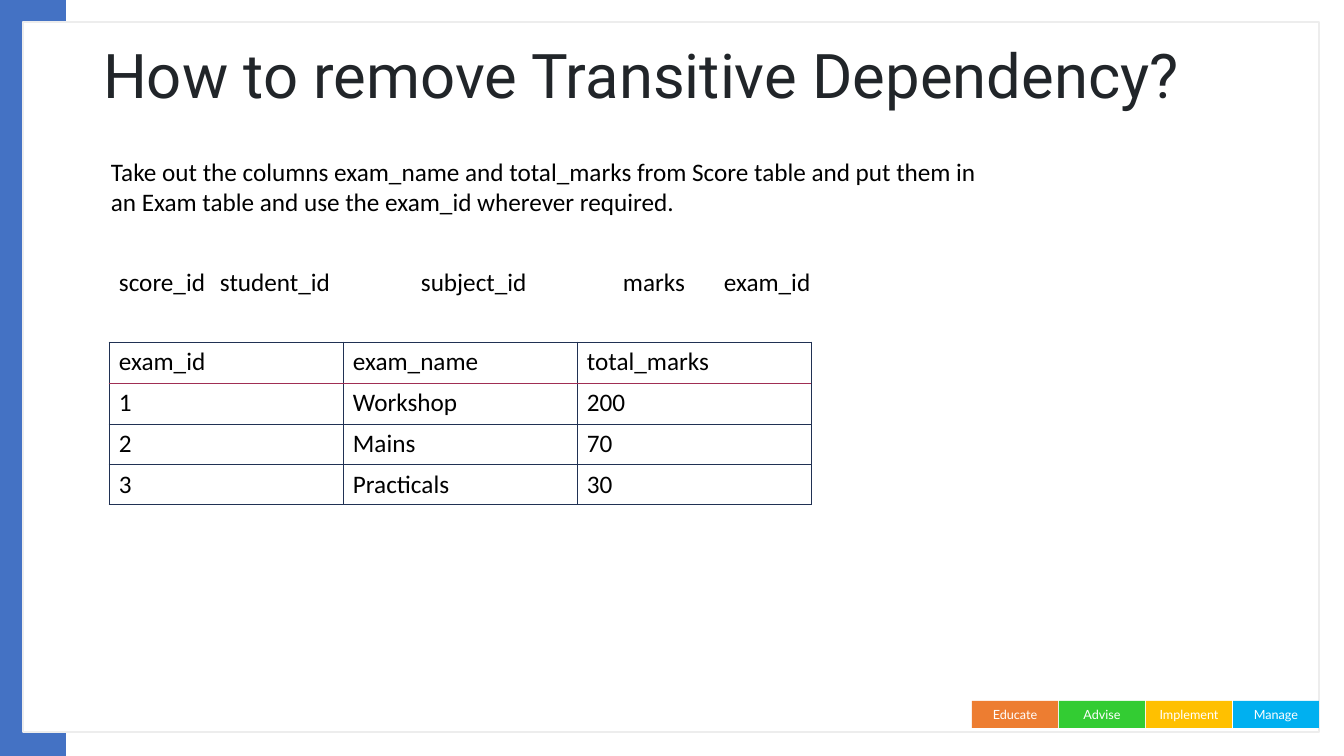
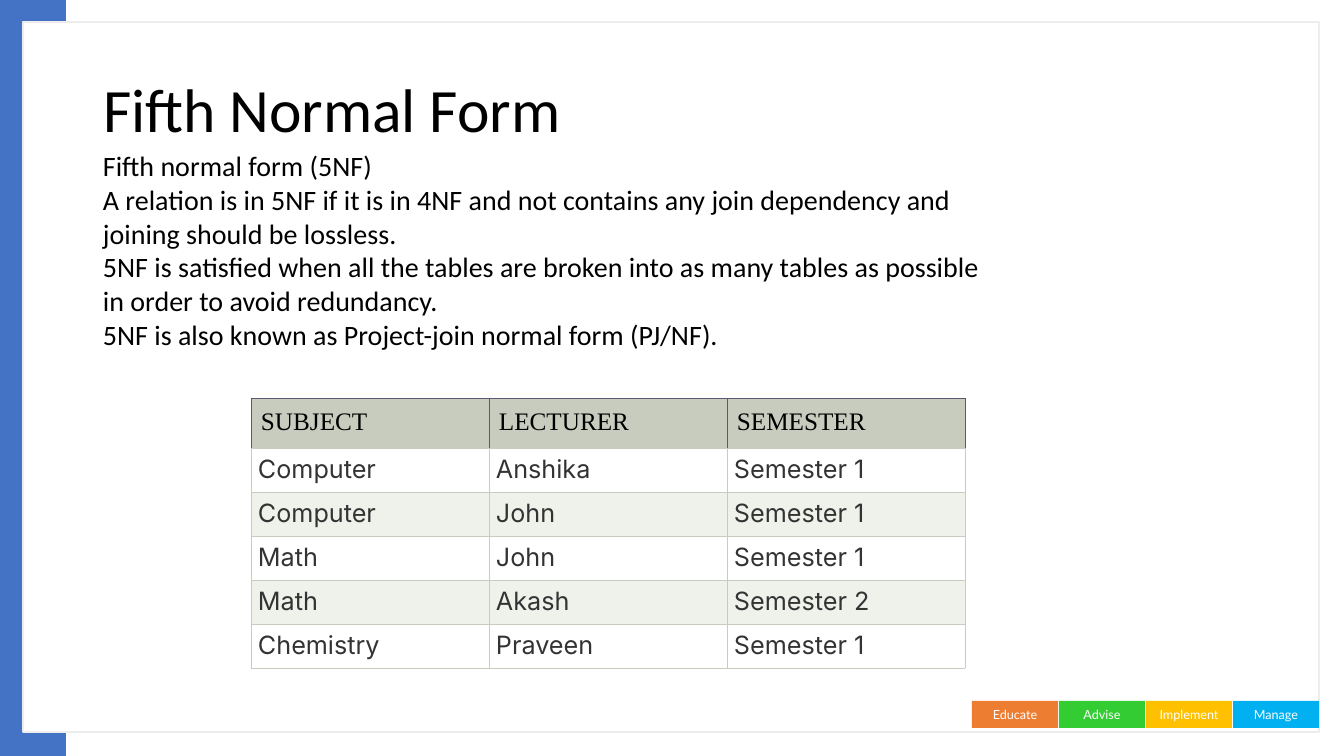
from dataclasses import dataclass

from lxml.etree import SubElement
from pptx import Presentation
from pptx.dml.color import RGBColor
from pptx.enum.shapes import MSO_SHAPE
from pptx.enum.text import MSO_ANCHOR, MSO_AUTO_SIZE, PP_ALIGN
from pptx.oxml.ns import qn
from pptx.util import Pt

EMU_PER_PX = 914400 / 100.8
SLIDE_WIDTH, SLIDE_HEIGHT = 1344, 756

BLACK, WHITE, BLUE = "000000", "FFFFFF", "4472C4"
CHARCOAL, PANEL_EDGE = "212529", "EDEDED"
SAGE, PALE_SAGE, GREY_TEXT, VIOLET = "C7CCBE", "EFF1EB", "333333", "605575"
GRID, HEADER_RULE = "203153", "A02E53"

BODY_FONT = "Calibri"
TAGS = [("Educate", "ED7D31"), ("Advise", "33CC33"),
        ("Implement", "FFC000"), ("Manage", "00B0F0")]


@dataclass
class RowStyle:
    """Look of one table row; margins are horizontal and vertical px."""
    fill: str
    side: str
    top: str
    bottom: str
    font: str = BODY_FONT
    color: str = BLACK
    margins: tuple = (10, 5)
    align: PP_ALIGN = PP_ALIGN.LEFT


def px(length):
    return round(length * EMU_PER_PX)


def rgb(color):
    return RGBColor.from_string(color)


def add_run(paragraph, text, size, font=BODY_FONT, color=BLACK):
    run = paragraph.add_run()
    run.text = text
    run.font.size = Pt(size)
    run.font.name = font
    run.font.color.rgb = rgb(color)


def add_rectangle(slide, box, fill, edge=None):
    rectangle = slide.shapes.add_shape(MSO_SHAPE.RECTANGLE, *map(px, box))
    rectangle.shadow.inherit = False
    rectangle.fill.solid()
    rectangle.fill.fore_color.rgb = rgb(fill)
    if edge:
        rectangle.line.color.rgb = rgb(edge)
        rectangle.line.width = Pt(1)
    else:
        rectangle.line.fill.background()
    return rectangle


def add_tag(slide, position, label, fill):
    tag = add_rectangle(slide, (972 + 87 * position, 701, 86, 27), fill)
    tag.text_frame.vertical_anchor = MSO_ANCHOR.MIDDLE
    paragraph = tag.text_frame.paragraphs[0]
    paragraph.alignment = PP_ALIGN.CENTER
    add_run(paragraph, label, 9, "Lato", WHITE)
    return tag


def prepare_layout(layout):
    """Keep only the title placeholder of the layout and set its place."""
    for placeholder in list(layout.placeholders):
        if placeholder.placeholder_format.idx != 0:
            layout.shapes.element.remove(placeholder.element)
    title = layout.placeholders[0]
    title.left, title.top, title.width, title.height = map(
        px, (93, 40, 1159, 146))


def move_frame_to_layout(slide):
    """Draw the band, panel and footer tags, then hand them to the layout."""
    frame = [add_rectangle(slide, (0, 0, 66, SLIDE_HEIGHT), BLUE),
             add_rectangle(slide, (23, 22, 1296, 710), WHITE, PANEL_EDGE)]
    frame += [add_tag(slide, position, label, fill)
              for position, (label, fill) in enumerate(TAGS)]
    layout_title = slide.slide_layout.placeholders[0]
    for part in frame:
        layout_title.element.addprevious(part.element)


def set_title(slide, text, font=BODY_FONT, color=BLACK,
              anchor=MSO_ANCHOR.MIDDLE):
    frame = slide.shapes.title.text_frame
    frame.auto_size = MSO_AUTO_SIZE.NONE
    frame.vertical_anchor = anchor
    paragraph = frame.paragraphs[0]
    paragraph.alignment = PP_ALIGN.LEFT
    paragraph.line_spacing = 0.9
    add_run(paragraph, text, 44, font, color)


def add_text(slide, box, lines, size):
    frame = slide.shapes.add_textbox(*map(px, box)).text_frame
    frame.word_wrap = True
    frame.auto_size = MSO_AUTO_SIZE.SHAPE_TO_FIT_TEXT
    for number, line in enumerate(lines):
        paragraph = frame.add_paragraph() if number else frame.paragraphs[0]
        add_run(paragraph, line, size)
    return frame


def set_tab_stops(paragraph, stops):
    properties = paragraph._p.get_or_add_pPr()
    tab_list = SubElement(properties, qn("a:tabLst"))
    for stop in stops:
        SubElement(tab_list, qn("a:tab"), pos=str(px(stop)), algn="l")


def set_borders(cell, style):
    properties = cell._tc.get_or_add_tcPr()
    for edge, color in (("L", style.side), ("R", style.side),
                        ("T", style.top), ("B", style.bottom)):
        line = SubElement(properties, qn(f"a:ln{edge}"), w=str(Pt(0.6)))
        fill = SubElement(line, qn("a:solidFill"))
        SubElement(fill, qn("a:srgbClr"), val=color)


def fill_cell(cell, text, style):
    set_borders(cell, style)
    cell.fill.solid()
    cell.fill.fore_color.rgb = rgb(style.fill)
    across, down = map(px, style.margins)
    cell.margin_left = cell.margin_right = across
    cell.margin_top = cell.margin_bottom = down
    paragraph = cell.text_frame.paragraphs[0]
    paragraph.alignment = style.align
    add_run(paragraph, text, 18, style.font, style.color)


def add_grid(slide, left, top, column_width, row_heights, rows, styles):
    columns = len(rows[0])
    table = slide.shapes.add_table(
        len(rows), columns, px(left), px(top),
        px(column_width * columns), px(sum(row_heights))).table
    table.first_row = table.horz_banding = False
    for column in table.columns:
        column.width = px(column_width)
    for row, height, texts, style in zip(table.rows, row_heights, rows, styles):
        row.height = px(height)
        for cell, text in zip(row.cells, texts):
            fill_cell(cell, text, style)


def build_transitive_dependency(slide):
    set_title(slide, "How to remove Transitive Dependency?", "Roboto",
              CHARCOAL, MSO_ANCHOR.TOP)
    add_text(slide, (101, 151, 915, 72), [
        "Take out the columns exam_name and total_marks from Score table and "
        "put them in an Exam table and use the exam_id wherever required."], 18)
    score_columns = add_text(slide, (109, 261, 835, 40), [
        "score_id\tstudent_id\tsubject_id\tmarks\texam_id"], 18)
    set_tab_stops(score_columns.paragraphs[0], (101, 302, 504, 605))

    exams = [("exam_id", "exam_name", "total_marks"),
             ("1", "Workshop", "200"),
             ("2", "Mains", "70"),
             ("3", "Practicals", "30")]
    header = RowStyle(WHITE, GRID, GRID, HEADER_RULE)
    first = RowStyle(WHITE, GRID, HEADER_RULE, GRID)
    other = RowStyle(WHITE, GRID, GRID, GRID)
    add_grid(slide, 109, 342, 234, (41, 41, 40, 40), exams,
             (header, first, other, other))


def build_fifth_normal_form(slide):
    set_title(slide, "Fifth Normal Form")
    add_text(slide, (93, 144, 915, 214), [
        "Fifth normal form (5NF)",
        "A relation is in 5NF if it is in 4NF and not contains any join "
        "dependency and joining should be lossless.",
        "5NF is satisfied when all the tables are broken into as many tables "
        "as possible in order to avoid redundancy.",
        "5NF is also known as Project-join normal form (PJ/NF)."], 20)

    lectures = [("SUBJECT", "LECTURER", "SEMESTER"),
                ("Computer", "Anshika", "Semester 1"),
                ("Computer", "John", "Semester 1"),
                ("Math", "John", "Semester 1"),
                ("Math", "Akash", "Semester 2"),
                ("Chemistry", "Praveen", "Semester 1")]
    header = RowStyle(SAGE, VIOLET, VIOLET, SAGE, "Times New Roman",
                      margins=(10, 10))
    plain, shaded = (
        RowStyle(fill, SAGE, SAGE, SAGE, "Inter", GREY_TEXT, (7, 6),
                 PP_ALIGN.JUSTIFY)
        for fill in (WHITE, PALE_SAGE))
    add_grid(slide, 251, 398, 238, (50, 44, 44, 44, 44, 44), lectures,
             (header, plain, shaded, plain, shaded, plain))


def main():
    presentation = Presentation()
    presentation.slide_width = px(SLIDE_WIDTH)
    presentation.slide_height = px(SLIDE_HEIGHT)
    layout = presentation.slide_layouts.get_by_name("Title Only")
    prepare_layout(layout)
    dependency_slide = presentation.slides.add_slide(layout)
    move_frame_to_layout(dependency_slide)
    build_transitive_dependency(dependency_slide)
    build_fifth_normal_form(presentation.slides.add_slide(layout))
    presentation.save("out.pptx")


if __name__ == "__main__":
    main()
